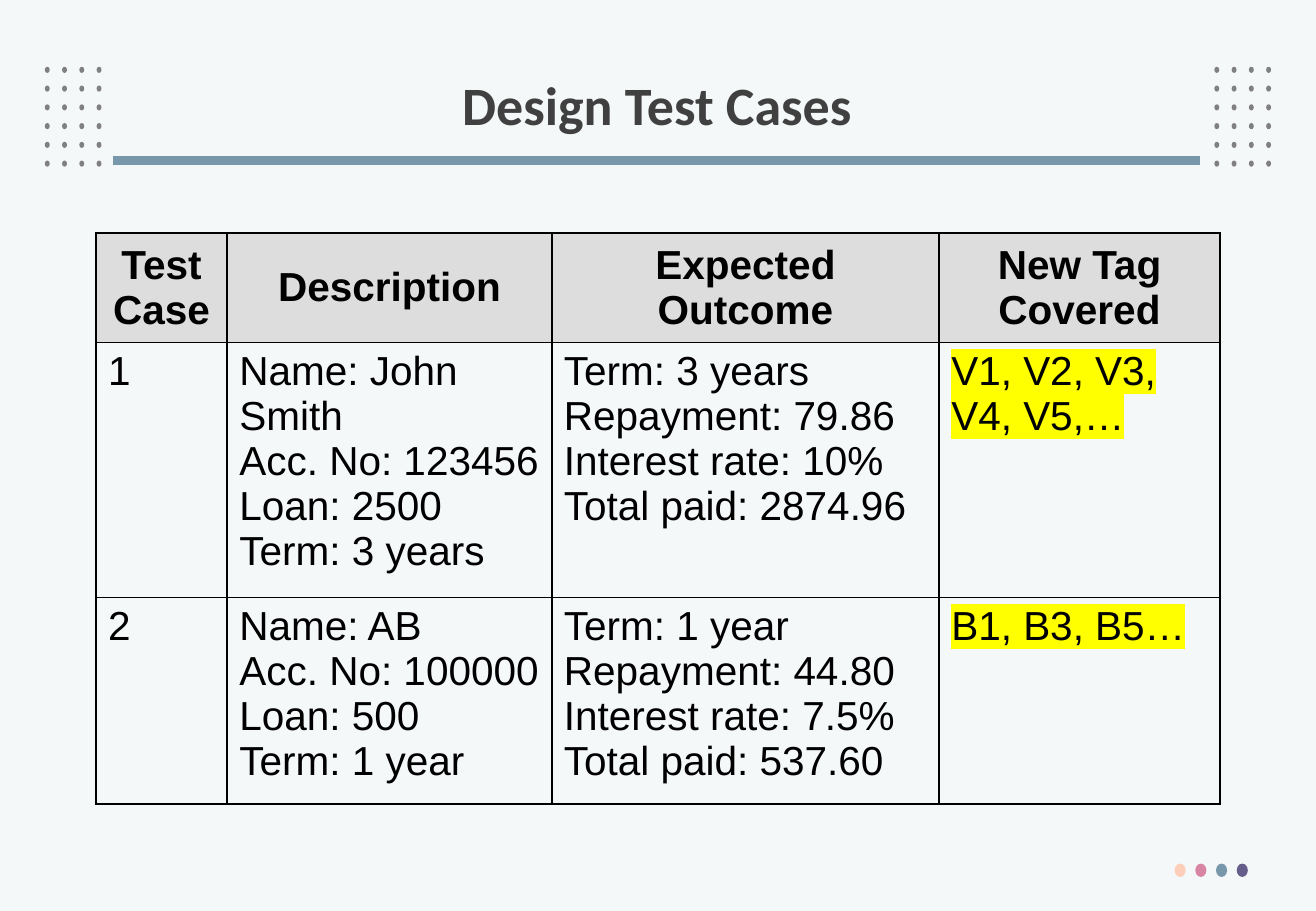
from lxml import etree
from pptx import Presentation
from pptx import util as u
from pptx.dml import color
from pptx.enum import shapes, text
from pptx.oxml import ns

COLOURS = {
    "background": "F5F8F9", "dot": "808080", "title": "404040", "rule": "7897AB",
    "peach": "FDCEB9", "pink": "D885A3", "blue": "7897AB", "purple": "655D8A",
    "header": "DDDDDD", "ink": "000000", "highlight": "FFFF00",
}
TEST_CASES = [
    ["Test Case", "Description", "Expected Outcome", "New Tag Covered"],
    ["1", "Name: John Smith\nAcc. No: 123456\nLoan: 2500\nTerm: 3 years",
     "Term: 3 years\nRepayment: 79.86\nInterest rate: 10%\nTotal paid: 2874.96",
     "V1, V2, V3, V4, V5,…"],
    ["2", "Name: AB\nAcc. No: 100000\nLoan: 500\nTerm: 1 year",
     "Term: 1 year\nRepayment: 44.80\nInterest rate: 7.5%\nTotal paid: 537.60",
     "B1, B3, B5…"],
]
COLUMN_SHARES = [77.8, 192.4, 229.6, 166.4]
ROW_SHARES = [60.5, 141, 114.5]


def rgb(name):
    """Return the named colour."""
    return color.RGBColor.from_string(COLOURS[name])


def style_run(run, font, size, colour, bold):
    """Set the look of one run."""
    run.font.name, run.font.size, run.font.bold = font, u.Pt(size), bold
    run.font.color.rgb = rgb(colour)


def draw_dots(slide, box, dot_size, rows):
    """Spread rows of coloured dots evenly over the box."""
    left, top, width, height = box
    dot_width, dot_height = dot_size
    across = (width - dot_width) / (len(rows[0]) - 1)
    down = (height - dot_height) / max(len(rows) - 1, 1)
    for r, colours in enumerate(rows):
        for c, colour in enumerate(colours):
            dot = slide.shapes.add_shape(
                shapes.MSO_SHAPE.OVAL, u.Pt(left + c * across), u.Pt(top + r * down),
                u.Pt(dot_width), u.Pt(dot_height))
            dot.shadow.inherit = False
            dot.fill.solid()
            dot.fill.fore_color.rgb = rgb(colour)
            dot.line.fill.background()


def draw_header(slide, box):
    """Draw the title with a dot grid on each side and the rule below it."""
    left, top, width, height = box
    grid_width, grid_height = 33.6, 59.2
    for grid_left in (left, left + width - grid_width):
        draw_dots(slide, (grid_left, top + height - grid_height, grid_width, grid_height),
                  (2.9, 3.6), [["dot"] * 4] * 6)

    rule_y = top + height - 3.7
    rule = slide.shapes.add_connector(
        shapes.MSO_CONNECTOR.STRAIGHT, u.Pt(left + 40.4), u.Pt(rule_y),
        u.Pt(left + width - 42.2), u.Pt(rule_y))
    rule.line.color.rgb = rgb("rule")
    rule.line.width = u.Pt(5.25)
    etree.SubElement(rule._element.spPr, ns.qn("a:effectLst"))

    title = slide.shapes.add_textbox(
        u.Pt(left + 26.6), u.Pt(top), u.Pt(width - 54.2), u.Pt(height))
    frame = title.text_frame
    frame.word_wrap = True
    frame.vertical_anchor = text.MSO_ANCHOR.MIDDLE
    frame.text = "Design Test Cases"
    heading = frame.paragraphs[0]
    heading.alignment = text.PP_ALIGN.CENTER
    heading.line_spacing = 0.9
    style_run(heading.runs[0], "Calibri", 32, "title", True)


def add_borders(cell):
    """Give a cell a thin line on all four sides."""
    properties = cell._tc.get_or_add_tcPr()
    for position, side in enumerate(("a:lnL", "a:lnR", "a:lnT", "a:lnB")):
        border = etree.Element(ns.qn(side), w=str(u.Pt(1)))
        fill = etree.SubElement(border, ns.qn("a:solidFill"))
        etree.SubElement(fill, ns.qn("a:srgbClr"), val=COLOURS["ink"])
        properties.insert(position, border)


def highlight_run(run):
    """Mark a run that already has a colour with the highlighter."""
    highlight = etree.Element(ns.qn("a:highlight"))
    etree.SubElement(highlight, ns.qn("a:srgbClr"), val=COLOURS["highlight"])
    run._r.get_or_add_rPr().find(ns.qn("a:solidFill")).addnext(highlight)


def fill_cell(cell, wording, is_header, is_tag):
    """Write and format one cell of the test case table."""
    cell.text_frame.text = wording
    if is_header:
        cell.fill.solid()
        cell.fill.fore_color.rgb = rgb("header")
        cell.vertical_anchor = text.MSO_ANCHOR.MIDDLE
    else:
        cell.fill.background()
    for paragraph in cell.text_frame.paragraphs:
        paragraph.alignment = text.PP_ALIGN.CENTER if is_header else text.PP_ALIGN.LEFT
        for run in paragraph.runs:
            style_run(run, "Arial", 24, "ink", is_header)
            if is_tag:
                highlight_run(run)
    add_borders(cell)


def draw_test_cases(slide, box):
    """Draw the test case table so that it fills the box."""
    left, top, width, height = box
    table = slide.shapes.add_table(
        len(TEST_CASES), len(COLUMN_SHARES), u.Pt(left), u.Pt(top),
        u.Pt(width), u.Pt(height)).table
    table.horz_banding = False
    for column, share in zip(table.columns, COLUMN_SHARES):
        column.width = u.Pt(width * share / sum(COLUMN_SHARES))
    for row, share in zip(table.rows, ROW_SHARES):
        row.height = u.Pt(height * share / sum(ROW_SHARES))
    for r, entries in enumerate(TEST_CASES):
        for c, wording in enumerate(entries):
            is_tag = r > 0 and c == len(entries) - 1
            fill_cell(table.cell(r, c), wording, r == 0, is_tag)


def main():
    """Build the slide and save it."""
    deck = Presentation()
    deck.slide_width, deck.slide_height = u.Pt(780), u.Pt(540)
    slide = deck.slides.add_slide(deck.slide_layouts[6])
    slide.background.fill.solid()
    slide.background.fill.fore_color.rgb = rgb("background")
    draw_header(slide, (26.6, 28.8, 726.8, 70))
    draw_test_cases(slide, (56.9, 138.2, 666.2, 316))
    draw_dots(slide, (696.2, 511.9, 43.4, 7.9), (6.6, 7.9),
              [["peach", "pink", "blue", "purple"]])
    deck.save("out.pptx")


if __name__ == "__main__":
    main()
